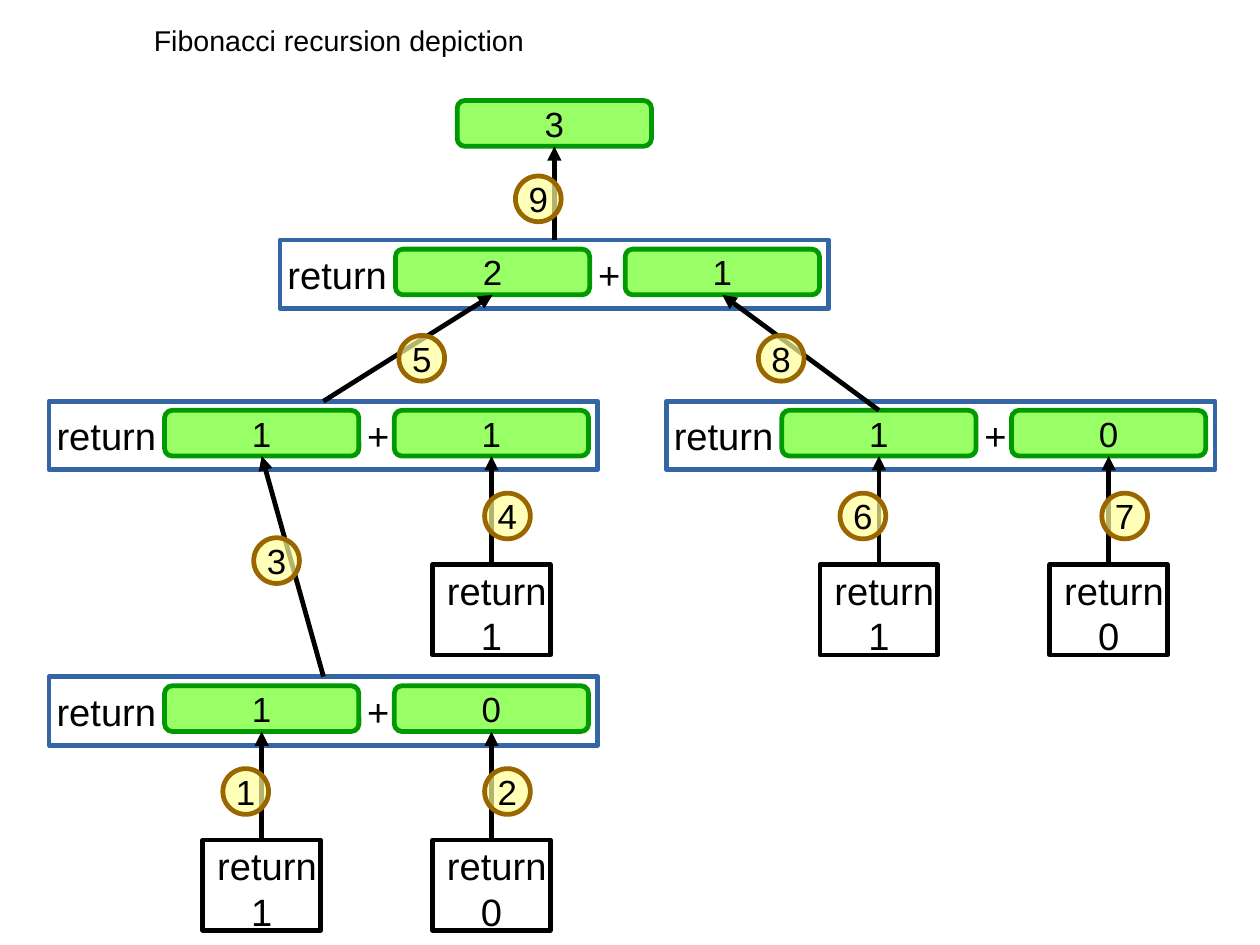
from lxml.etree import SubElement as Sub
from pptx import Presentation
from pptx.dml.color import RGBColor as RGB
from pptx.enum.shapes import MSO_CONNECTOR as Conn, MSO_SHAPE as Kind
from pptx.enum.text import MSO_ANCHOR as Anchor, MSO_AUTO_SIZE as Auto
from pptx.enum.text import PP_ALIGN as Align
from pptx.oxml.ns import qn
from pptx.util import Cm, Inches as In, Pt

BLACK, BLUE = RGB(0, 0, 0), RGB(0x34, 0x65, 0xA4)
LIME, GREEN = RGB(0x99, 0xFF, 0x66), RGB(0, 0x99, 0)
CREAM, BROWN = RGB(0xFF, 0xFF, 0x99), RGB(0x99, 0x66, 0)

# Content: calls as column, row and their two values
TITLE = "Fibonacci recursion depiction"
RESULT = "3"
CALLS = {
    "top": ("mid", 1, "2", "1"),
    "left": ("left", 2, "1", "1"),
    "right": ("right", 2, "1", "0"),
    "low": ("left", 3, "1", "0"),
}
# Base cases as call, slot, value, step number, side of the badge
LEAVES = [
    ("low", 0, "1", "1", -1), ("low", 1, "0", "2", 1),
    ("left", 1, "1", "4", 1), ("right", 0, "1", "6", -1),
    ("right", 1, "0", "7", 1),
]

# Grid in inches
COLS = {"left": 0.43, "mid": 2.45, "right": 5.83}
ROWS = {1: 2.1, 2: 3.51, 3: 5.92}
CALL_W, CALL_H = 4.8, 0.6
SLOT_W, SLOT_H, SLOT_X, SLOT_Y, STEP = 1.7, 0.4, 1.01, 0.08, 2.01
LEAF_W, LEAF_H, LEAF_Y = 1.03, 0.79, 1.43
BADGE, OFF_X, OFF_Y = 0.4, 0.14, 0.05
TOP_Y = 0.88

deck = Presentation()
deck.slide_width, deck.slide_height = Cm(28), Cm(21)
slide = deck.slides.add_slide(deck.slide_layouts[6])
shapes = slide.shapes


def put(item, fmt):
    for name, value in fmt.items():
        setattr(item, name, value)


def write(shape, text, size, wrap=False, inset=0.02, grow=False):
    frame = shape.text_frame
    sides = ("left", "right", "top", "bottom")
    put(frame, {f"margin_{side}": In(inset) for side in sides})
    put(frame, {
        "word_wrap": wrap,
        "auto_size": Auto.SHAPE_TO_FIT_TEXT if grow else Auto.NONE,
        "vertical_anchor": Anchor.TOP if grow else Anchor.MIDDLE,
    })
    para = frame.paragraphs[0]
    para.alignment = Align.CENTER
    run = para.add_run()
    run.text = text
    put(run.font, {"name": "Arial", "size": Pt(size)})
    run.font.color.rgb = BLACK


def label(text, x, y, w, h, size):
    box = shapes.add_textbox(In(x), In(y), In(w), In(h))
    write(box, text, size, inset=0, grow=True)


def draw(kind, x, y, w, h, edge, fill=None):
    shape = shapes.add_shape(kind, In(x), In(y), In(w), In(h))
    shape.shadow.inherit = False
    shape.line.width = Pt(3)
    shape.line.color.rgb = edge
    if fill is None:
        shape.fill.background()
    else:
        shape.fill.solid()
        shape.fill.fore_color.rgb = fill
    return shape


def slot(text, x, y):
    shape = draw(Kind.ROUNDED_RECTANGLE, x, y, SLOT_W, SLOT_H, GREEN, LIME)
    write(shape, text, 22)


def arrow(tip, tail):
    link = shapes.add_connector(Conn.STRAIGHT, *map(In, tip + tail))
    link.line.width = Pt(3)
    link.line.color.rgb = BLACK
    props = link._element.spPr
    Sub(props.find(qn("a:ln")), qn("a:headEnd"), type="triangle")
    Sub(props, qn("a:effectLst"))


def badge(text, x, y):
    half = BADGE / 2
    shape = draw(Kind.OVAL, x - half, y - half, BADGE, BADGE, BROWN, CREAM)
    tint = next(shape._element.spPr.iter(qn("a:srgbClr")))
    Sub(tint, qn("a:alpha"), val="70000")
    write(shape, text, 22)


def place(call):
    col, row = CALLS[call][:2]
    return COLS[col], ROWS[row]


def foot(call, idx):
    x, y = place(call)
    return x + SLOT_X + idx * STEP + SLOT_W / 2, y + SLOT_Y + SLOT_H


def head(call):
    x, y = place(call)
    return x + CALL_W / 2, y


# Title and result
label(TITLE, 0.13, 0.2, 5.67, 0.28, 18)
mid = head("top")[0]
slot(RESULT, mid - SLOT_W / 2, TOP_Y)

# Calls with their two slots
for call, (_, _, *values) in CALLS.items():
    x, y = place(call)
    draw(Kind.RECTANGLE, x, y, CALL_W, CALL_H, BLUE)
    label("return", x + 0.06, y + 0.1, 0.88, 0.37, 24)
    label("+", x + 2.78, y + 0.1, 0.2, 0.37, 24)
    for idx, value in enumerate(values):
        slot(value, x + SLOT_X + idx * STEP, y + SLOT_Y)

# Links between calls: tip, tail, step number, badge shift
right = foot("right", 0)
links = [
    ((mid, TOP_Y + SLOT_H), head("top"), "9", -OFF_X, OFF_Y),
    (foot("top", 0), head("left"), "5", 0.12, 0.09),
    (foot("top", 1), (right[0], right[1] - SLOT_H), "8", -0.17, OFF_Y),
    (foot("left", 0), head("low"), "3", -OFF_X, -OFF_Y),
]

# Base cases, each below its slot
for call, idx, value, num, side in LEAVES:
    tip = foot(call, idx)
    top = place(call)[1] + LEAF_Y
    leaf = draw(Kind.RECTANGLE, tip[0] - LEAF_W / 2, top, LEAF_W, LEAF_H, BLACK)
    write(leaf, f" return {value}", 24, wrap=True, grow=True)
    links.append((tip, (tip[0], top), num, side * OFF_X, OFF_Y))

# Arrows, then numbered badges on top
for tip, tail, *_ in links:
    arrow(tip, tail)
for tip, tail, num, dx, dy in links:
    badge(num, (tip[0] + tail[0]) / 2 + dx, (tip[1] + tail[1]) / 2 + dy)

deck.save("out.pptx")
